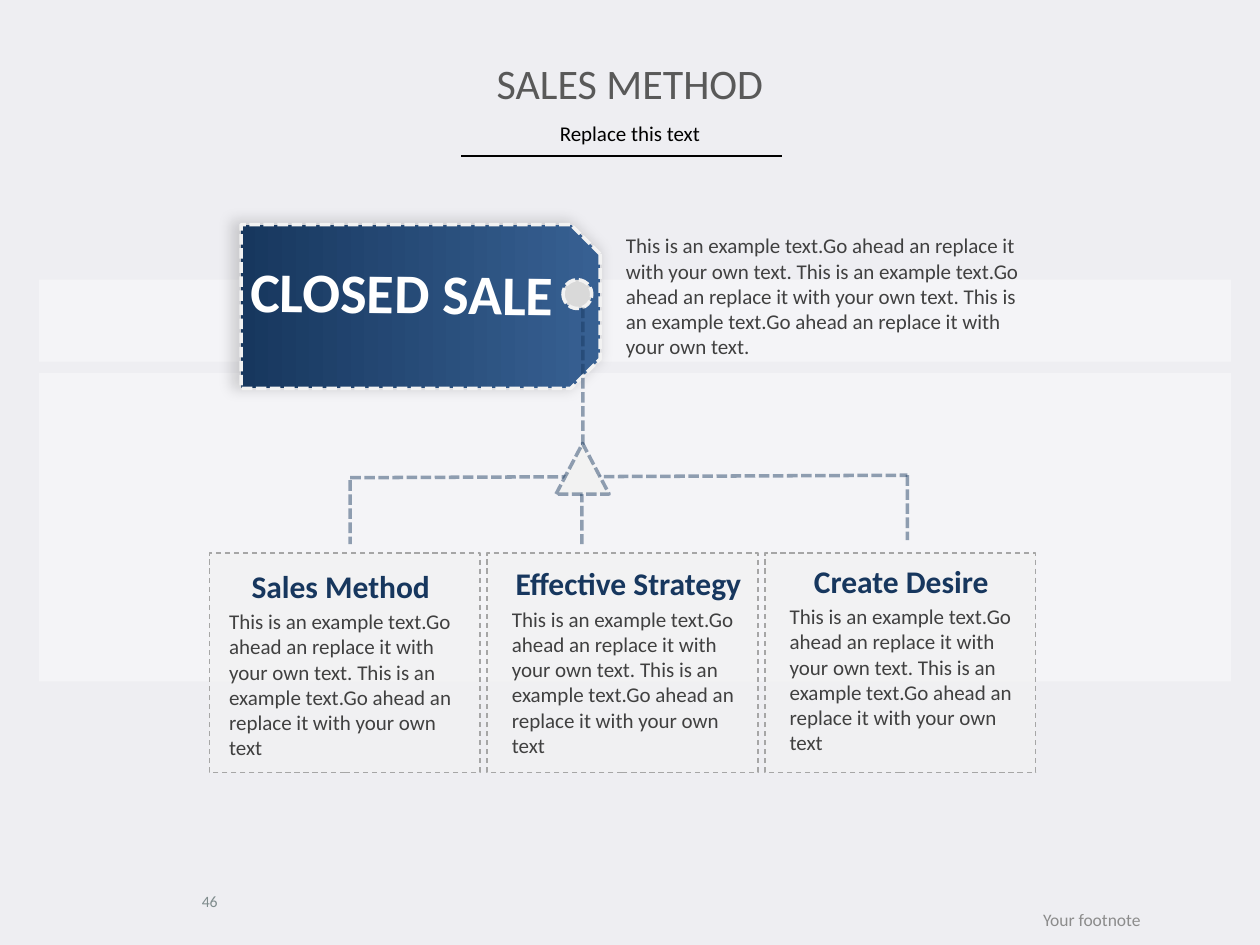
import dataclasses

import lxml.etree
import pptx
import pptx.dml.color
import pptx.enum.dml
import pptx.enum.shapes
import pptx.enum.text
import pptx.oxml.ns
import pptx.util

Cm = pptx.util.Cm
Pt = pptx.util.Pt
SHAPE = pptx.enum.shapes.MSO_SHAPE
ALIGN = pptx.enum.text.PP_ALIGN
ANCHOR = pptx.enum.text.MSO_ANCHOR
DASH = pptx.enum.dml.MSO_LINE

FONT = "Calibri"
NAVY, BODY, PALE = "17375E", "404040", "F2F2F2"
SENTENCE = "This is an example text.Go ahead an replace it with your own text"
CARDS = [
    ("Sales Method", 0.15, 0.15, 5.0),
    ("Effective Strategy", 0.25, 0.1, 5.2),
    ("Create Desire", 0.25, 0.05, 5.0),
]


@dataclasses.dataclass
class Box:
    """A rectangle in centimetres."""
    left: float
    top: float
    width: float
    height: float

    def inner(self, left, top, width, height):
        return Box(self.left + left, self.top + top, width, height)

    def lengths(self):
        return [Cm(value) for value in dataclasses.astuple(self)]


def colour(code):
    return pptx.dml.color.RGBColor.from_string(code)


def add_child(parent, tag, **attributes):
    child = lxml.etree.SubElement(parent, pptx.oxml.ns.qn(tag))
    for name, value in attributes.items():
        child.set(name, str(value))
    return child


def set_opacity(fill_parent, percent):
    """Set the opacity of the first solid colour below the element."""
    solid = next(fill_parent.iter(pptx.oxml.ns.qn("a:srgbClr")))
    add_child(solid, "a:alpha", val=percent * 1000)


def style_line(line, code, width, dash=None, opacity=None):
    line.color.rgb = colour(code)
    line.width = Pt(width)
    if dash is not None:
        line.dash_style = dash
    if opacity is not None:
        set_opacity(line.fill._xPr, opacity)


def add_figure(page, kind, box, fill=None, opacity=None):
    figure = page.shapes.add_shape(kind, *box.lengths())
    figure.shadow.inherit = False
    figure.line.fill.background()
    if fill:
        figure.fill.solid()
        figure.fill.fore_color.rgb = colour(fill)
    if opacity is not None:
        set_opacity(figure._element.spPr, opacity)
    return figure


def add_rule(shapes, start, end, code, width, dash=None, opacity=None):
    points = [Cm(value) for value in (*start, *end)]
    rule = shapes.add_connector(pptx.enum.shapes.MSO_CONNECTOR.STRAIGHT, *points)
    style_line(rule.line, code, width, dash, opacity)
    add_child(rule._element.spPr, "a:effectLst")


def format_para(para, size, code, bold=False, align=ALIGN.LEFT, before=0, spacing=1.0):
    para.alignment = align
    para.space_before = Pt(before)
    para.line_spacing = spacing
    for span in para.runs:
        span.font.name = FONT
        span.font.size = Pt(size)
        span.font.bold = bold
        span.font.color.rgb = colour(code)


def add_text(page, box, text, size, code, anchor=ANCHOR.TOP, **style):
    holder = page.shapes.add_textbox(*box.lengths())
    frame = holder.text_frame
    frame.word_wrap = True
    frame.vertical_anchor = anchor
    frame.text = text
    format_para(frame.paragraphs[0], size, code, **style)
    return holder


def add_heading(page, box):
    title = page.shapes.title
    title.left, title.top, title.width, title.height = box.inner(0, 0, box.width, 1.27).lengths()
    title.text_frame.text = "SALES METHOD"
    title.text_frame.vertical_anchor = ANCHOR.MIDDLE
    format_para(title.text_frame.paragraphs[0], 24, "595959", align=ALIGN.CENTER, spacing=0.8)
    add_text(page, box.inner(0, 1.29, box.width, 0.69), "Replace this text", 12, "000000",
             align=ALIGN.CENTER, before=2.4, spacing=0.8)
    bottom = box.top + box.height
    add_rule(page.shapes, (9.3, bottom), (15.77, bottom), "000000", 1)


def add_bands(page, box):
    upper = 1.65
    gap = 0.23
    for top, height in ((upper + gap, box.height - upper - gap), (0, upper)):
        add_figure(page, SHAPE.RECTANGLE, box.inner(0, top, box.width, height), "FFFFFF", 40)


def add_tag(page, box):
    """Price tag: an upright snipped shape turned a quarter, with label and hole."""
    shift = (box.width - box.height) / 2
    tag = add_figure(page, SHAPE.SNIP_2_SAME_RECTANGLE,
                     box.inner(shift, -shift, box.height, box.width))
    tag.rotation = 90
    tag.adjustments[0] = 0.18
    tag.adjustments[1] = 0
    tag.fill.gradient()
    tag.fill.gradient_angle = 270
    for stop, position, code in zip(tag.fill.gradient_stops, (0.01, 1), ("376092", NAVY)):
        stop.position = position
        stop.color.rgb = colour(code)
    style_line(tag.line, PALE, 2, DASH.SQUARE_DOT)
    effects = tag._element.spPr.find(pptx.oxml.ns.qn("a:effectLst"))
    shadow = add_child(effects, "a:outerShdw", blurRad=Pt(8), dist=0, sx=102000, sy=102000,
                       algn="ctr", rotWithShape=0)
    add_child(add_child(shadow, "a:srgbClr", val="000000"), "a:alpha", val=15000)

    label = add_text(page, box.inner(-0.06, 0.55, 7.14, 1.63), "CLOSED SALE", 32, "FFFFFF",
                     bold=True)
    label.rotation = 0.7
    hole = add_figure(page, SHAPE.OVAL, box.inner(6.49, 1.11, 0.58, 0.58), "D9D9D9")
    hole.rotation = 343
    style_line(hole.line, PALE, 2, DASH.SQUARE_DOT)


def add_card(page, box, heading, text_box):
    card = add_figure(page, SHAPE.RECTANGLE, box, PALE, 69)
    style_line(card.line, "A6A6A6", 0.75, DASH.DASH)
    holder = add_text(page, text_box, heading, 18, NAVY, bold=True,
                      align=ALIGN.CENTER, before=3.6)
    para = holder.text_frame.add_paragraph()
    para.text = f"{SENTENCE}. {SENTENCE}"
    format_para(para, 12, BODY, before=2.4)


def add_cards(page, box):
    width = 5.46
    step = (box.width - width) / (len(CARDS) - 1)
    for index, (heading, left, top, text_width) in enumerate(CARDS):
        card = box.inner(index * step, 0, width, box.height)
        add_card(page, card, heading, card.inner(left, top, text_width, 4.22))


def add_branches(page, box):
    """Dashed tree from the tag's hole down to the three cards."""
    middle, bus, right = 4.69, 3.43, box.width
    lines = [
        ((0, bus), (right, bus - 0.05)),
        ((middle - 0.02, bus), (middle - 0.02, box.height)),
        ((right, bus - 0.05), (right, box.height - 0.08)),
        ((0, bus + 0.05), (0, box.height)),
        ((middle, 0), (middle, bus)),
    ]
    group = page.shapes.add_group_shape()
    for ends in lines:
        start, end = [(box.left + x, box.top + y) for x, y in ends]
        add_rule(group.shapes, start, end, NAVY, 2, DASH.SQUARE_DOT, 45)
    node = add_figure(page, SHAPE.ISOSCELES_TRIANGLE,
                      box.inner(middle - 0.54, 2.74, 1.07, 1.02), PALE)
    style_line(node.line, NAVY, 2, DASH.SQUARE_DOT, 45)


def add_footer(page, box):
    centred = {"anchor": ANCHOR.MIDDLE, "align": ALIGN.CENTER}
    add_text(page, box.inner(0, 0, 5.72, 1.02), "46", 9, "7F8C8D", **centred)
    add_text(page, box.inner(box.width - 5.92, 0.36, 5.92, 1.07), "Your footnote", 10,
             "8C8C8C", **centred)


def main():
    deck = pptx.Presentation()
    deck.slide_width, deck.slide_height = Cm(25.4), Cm(19.05)
    page = deck.slides.add_slide(deck.slide_layouts[5])
    page.background.fill.solid()
    page.background.fill.fore_color.rgb = colour("EEEEF2")
    add_heading(page, Box(1.75, 1.12, 21.9, 2.03))
    add_bands(page, Box(0.79, 5.64, 24.03, 8.1))
    add_text(page, Box(12.37, 4.57, 8.53, 2.82), f"{SENTENCE}. {SENTENCE}. {SENTENCE}.",
             12, BODY, before=2.4)
    add_tag(page, Box(4.86, 4.53, 7.24, 3.3))
    add_cards(page, Box(4.22, 11.15, 16.66, 4.42))
    add_branches(page, Box(7.06, 6.2, 11.23, 4.77))
    add_footer(page, Box(1.37, 17.65, 23.6, 1.43))
    deck.save("out.pptx")


if __name__ == "__main__":
    main()
